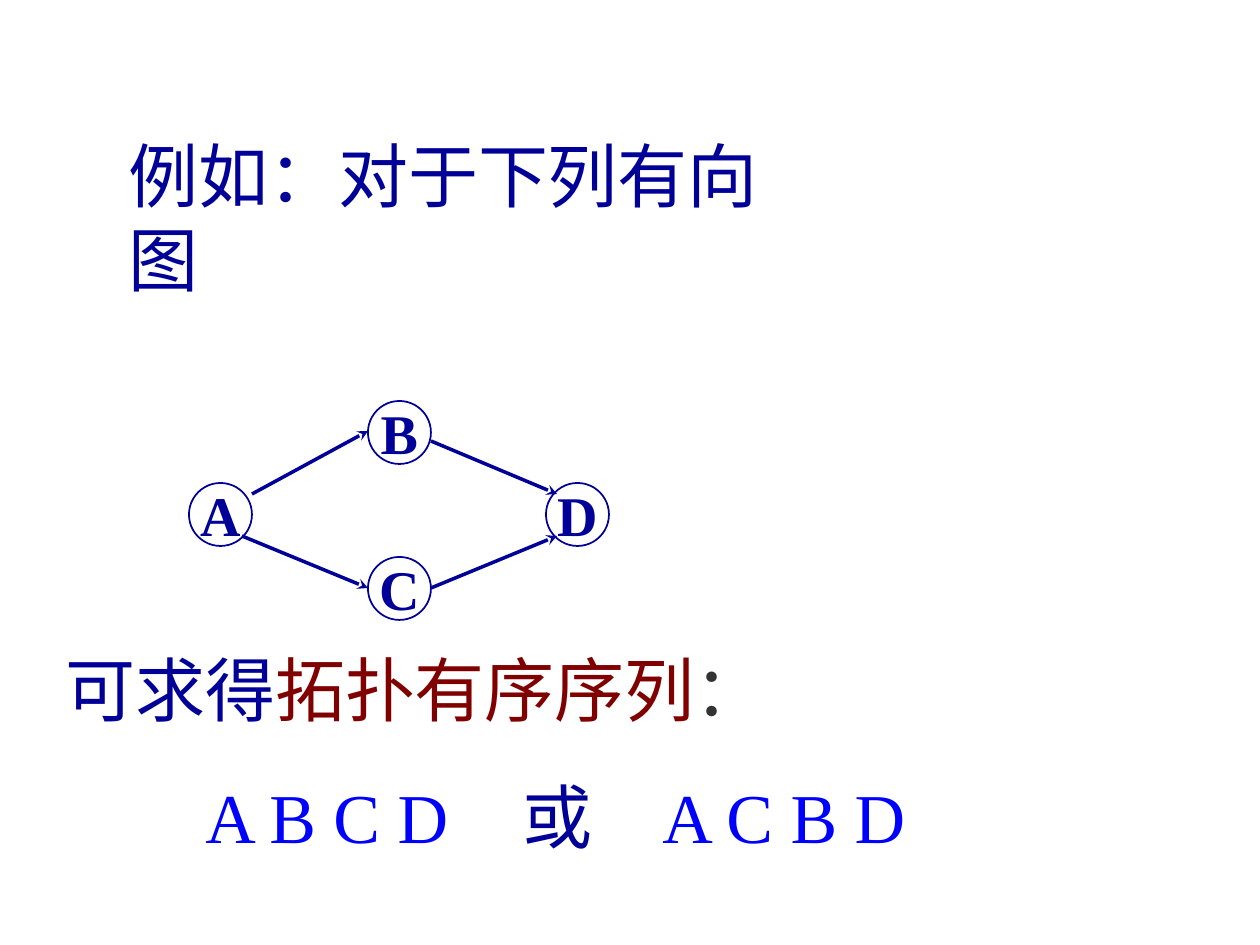
from dataclasses import dataclass

from lxml.etree import SubElement
from pptx import Presentation
from pptx.dml.color import RGBColor
from pptx.enum.shapes import MSO_CONNECTOR, MSO_SHAPE
from pptx.enum.text import MSO_ANCHOR, MSO_AUTO_SIZE, PP_ALIGN
from pptx.oxml.ns import qn
from pptx.util import Pt

EMU_PER_PX = 914400 / 126


@dataclass(frozen=True)
class Theme:
    font: str = "Times New Roman"
    navy: str = "000099"
    maroon: str = "800000"
    grey: str = "333333"
    blue: str = "0000FF"
    body_size: int = 40
    node_size: int = 32
    space_before: int = 25
    outline: int = 1
    edge: int = 2


THEME = Theme()

# Content, lengths in px
SLIDE_SIZE = (1260, 945)
HEADING = [[("例如：对于下列有向图", THEME.navy)]]
HEADING_BOX = (116, 126, 724, 97)
ANSWER = [
    [("可求得", THEME.navy), ("拓扑有序序列", THEME.maroon), ("：", THEME.grey)],
    [("\tA B C D", THEME.blue), ("\t或", THEME.navy), ("\tA C B D", THEME.blue)],
]
ANSWER_BOX = (53, 640, 1134, 224)
ANSWER_TABS = (140, 457, 597)

NODE_DIAMETER = 63
NODES = {"B": (368, 401), "D": (546, 483), "A": (189, 483), "C": (368, 557)}
EDGES = [
    ((252, 494), (368, 431)),  # A to B
    ((242, 536), (368, 588)),  # A to C
    ((431, 441), (557, 494)),  # B to D
    ((431, 588), (557, 536)),  # C to D
]


def px(*lengths):
    return [round(length * EMU_PER_PX) for length in lengths]


def style(run, colour, size, bold=False):
    run.font.name = THEME.font
    run.font.size = Pt(size)
    run.font.bold = bold
    run.font.color.rgb = RGBColor.from_string(colour)


def add_tabs(paragraph, positions):
    stops = SubElement(paragraph._p.get_or_add_pPr(), qn("a:tabLst"))
    for position in px(*positions):
        SubElement(stops, qn("a:tab"), pos=str(position), algn="l")


def add_text(slide, box, lines, wrap, space_before=0, tabs=()):
    frame = slide.shapes.add_textbox(*px(*box)).text_frame
    frame.word_wrap = wrap
    frame.auto_size = MSO_AUTO_SIZE.SHAPE_TO_FIT_TEXT
    for index, line in enumerate(lines):
        paragraph = frame.add_paragraph() if index else frame.paragraphs[0]
        paragraph.space_before = Pt(space_before)
        if tabs:
            add_tabs(paragraph, tabs)
        for words, colour in line:
            run = paragraph.add_run()
            run.text = words
            style(run, colour, THEME.body_size)


def add_node(slide, label, corner):
    node = slide.shapes.add_shape(
        MSO_SHAPE.OVAL, *px(*corner, NODE_DIAMETER, NODE_DIAMETER))
    node.shadow.inherit = False
    node.fill.background()
    node.line.color.rgb = RGBColor.from_string(THEME.navy)
    node.line.width = Pt(THEME.outline)
    frame = node.text_frame
    frame.word_wrap = False
    frame.vertical_anchor = MSO_ANCHOR.MIDDLE
    frame.text = label
    frame.paragraphs[0].alignment = PP_ALIGN.CENTER
    style(frame.paragraphs[0].runs[0], THEME.navy, THEME.node_size, bold=True)


def add_edge(slide, start, end):
    edge = slide.shapes.add_connector(MSO_CONNECTOR.STRAIGHT, *px(*start, *end))
    edge.line.color.rgb = RGBColor.from_string(THEME.navy)
    edge.line.width = Pt(THEME.edge)
    SubElement(edge.line._get_or_add_ln(), qn("a:tailEnd"), type="stealth")
    SubElement(edge._element.spPr, qn("a:effectLst"))


def main():
    deck = Presentation()
    deck.slide_width, deck.slide_height = px(*SLIDE_SIZE)
    slide = deck.slides.add_slide(deck.slide_layouts[6])

    # Heading
    add_text(slide, HEADING_BOX, HEADING, wrap=False)

    # Directed graph
    for label, corner in NODES.items():
        add_node(slide, label, corner)
    for start, end in EDGES:
        add_edge(slide, start, end)

    # Topological orders
    add_text(slide, ANSWER_BOX, ANSWER, wrap=True,
             space_before=THEME.space_before, tabs=ANSWER_TABS)

    deck.save("out.pptx")


if __name__ == "__main__":
    main()
